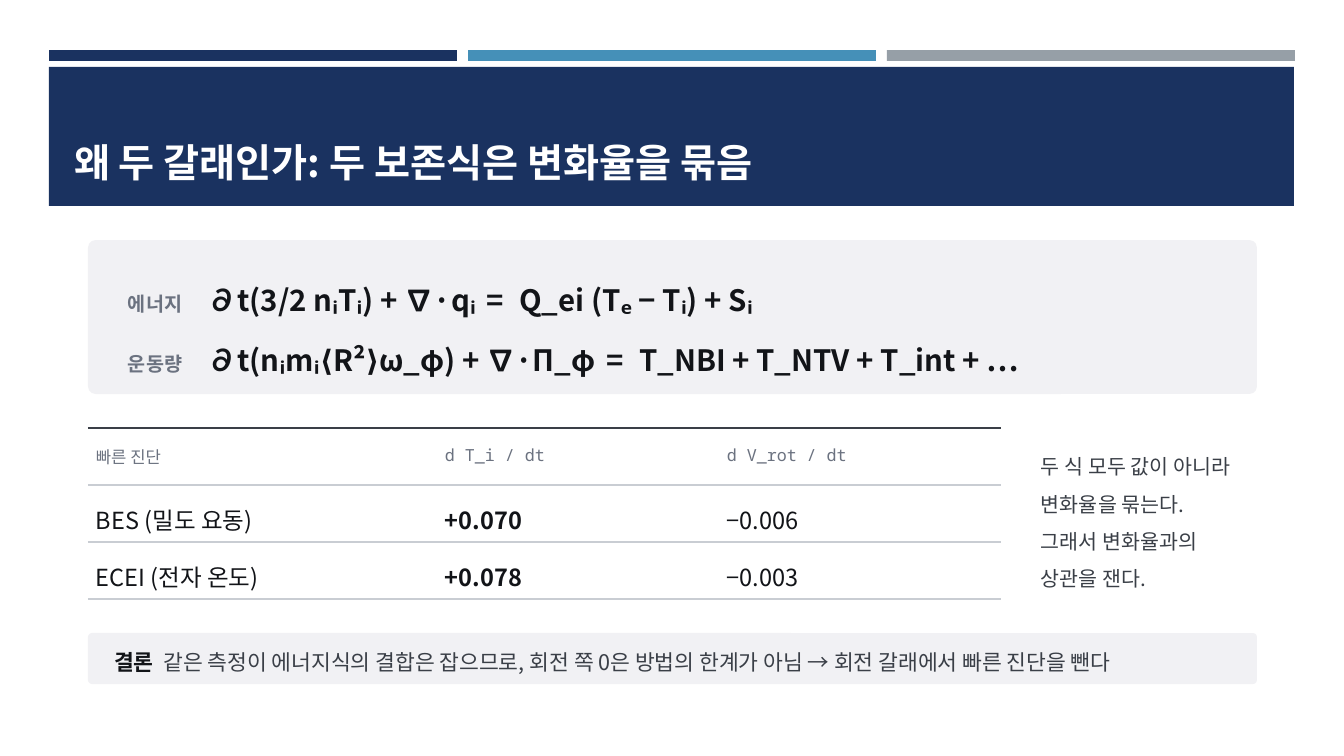
from lxml import etree
from pptx import Presentation, util as u
from pptx.dml.color import RGBColor
from pptx.enum import shapes, text
from pptx.oxml.ns import qn

NAVY = RGBColor(0x1A, 0x32, 0x60)
BLUE = RGBColor(0x45, 0x90, 0xB8)
GRAY = RGBColor(0x96, 0x9F, 0xA7)
PANEL = RGBColor(0xF1, 0xF1, 0xF4)
INK = RGBColor(0x12, 0x14, 0x18)
BODY = RGBColor(0x3A, 0x3F, 0x47)
MUTED = RGBColor(0x6B, 0x72, 0x80)
RULE = RGBColor(0xC9, 0xCD, 0xD3)
WHITE = RGBColor(0xFF, 0xFF, 0xFF)
SANS, MONO = "Noto Sans CJK KR", "Noto Sans Mono"

TITLE = "왜 두 갈래인가: 두 보존식은 변화율을 묶음"
EQUATIONS = [
    ("에너지", "∂t(3/2 nᵢTᵢ) + ∇·qᵢ", "Q_ei (Tₑ − Tᵢ) + Sᵢ"),
    ("운동량", "∂t(nᵢmᵢ⟨R²⟩ω_φ) + ∇·Π_φ", "T_NBI + T_NTV + T_int + …"),
]
DIAGNOSTICS = [
    ("빠른 진단", "d T_i / dt", "d V_rot / dt"),
    ("BES (밀도 요동)", "+0.070", "−0.006"),
    ("ECEI (전자 온도)", "+0.078", "−0.003"),
]
REMARK = ["두 식 모두 값이 아니라", "변화율을 묶는다.", "그래서 변화율과의", "상관을 잰다."]
VERDICT = "결론"
REASON = "같은 측정이 에너지식의 결합은 잡으므로, 회전 쪽 0은 방법의 한계가 아님 → 회전 갈래에서 빠른 진단을 뺀다"

BAR_COLORS = [NAVY, BLUE, GRAY]
BAR_WIDTH, BAR_PITCH = 408, 419
MARGIN, PANEL_LEFT, PANEL_WIDTH = 49, 88, 1169
COLUMN_WIDTHS = [349, 282, 282]
ROW_HEIGHT = 57
TABLE_TOP = 428
EQUATION_TAB = 80


def px(n):
    return u.Emu(round(n * 914400 / 100.8))


def block(kind, left, top, width, height, color, radius=None):
    shape = slide.shapes.add_shape(kind, px(left), px(top), px(width), px(height))
    shape.shadow.inherit = False
    shape.fill.solid()
    shape.fill.fore_color.rgb = color
    shape.line.fill.background()
    if radius is not None:
        shape.adjustments[0] = radius


def text_frame(left, top, width, height, anchor=text.MSO_ANCHOR.TOP, inset=(0, 0)):
    frame = slide.shapes.add_textbox(px(left), px(top), px(width), px(height)).text_frame
    frame.word_wrap = True
    frame.vertical_anchor = anchor
    frame.margin_left = frame.margin_right = px(inset[0])
    frame.margin_top = frame.margin_bottom = px(inset[1])
    return frame


def next_paragraph(frame, index, spacing):
    paragraph = frame.add_paragraph() if index else frame.paragraphs[0]
    paragraph.line_spacing = spacing
    return paragraph


def add_run(paragraph, words, size, color, bold=False, font=SANS, tracking=0):
    run = paragraph.add_run()
    run.text = words
    run.font.size = u.Pt(size)
    run.font.bold = bold
    run.font.color.rgb = color
    run.font.name = font
    props = run.font._element
    etree.SubElement(props, qn("a:ea")).set("typeface", SANS)
    if tracking:
        props.set("spc", str(tracking))


def cell_borders(cell, top, bottom):
    props = cell._tc.get_or_add_tcPr()
    for side, rule in (("L", None), ("R", None), ("T", top), ("B", bottom)):
        line = etree.SubElement(props, qn("a:ln" + side))
        if rule:
            color, width = rule
            line.set("w", str(u.Pt(width)))
            fill = etree.SubElement(line, qn("a:solidFill"))
            etree.SubElement(fill, qn("a:srgbClr")).set("val", str(color))
        else:
            etree.SubElement(line, qn("a:noFill"))


deck = Presentation()
deck.slide_width, deck.slide_height = px(1344), px(756)
slide = deck.slides.add_slide(deck.slide_layouts[6])
RECT = shapes.MSO_SHAPE.RECTANGLE
ROUNDED = shapes.MSO_SHAPE.ROUNDED_RECTANGLE

for i, color in enumerate(BAR_COLORS):
    block(RECT, MARGIN + i * BAR_PITCH, 50, BAR_WIDTH, 11, color)
block(RECT, MARGIN, 67, 1245, 139, NAVY)
title = text_frame(64, 81, 1216, 109, text.MSO_ANCHOR.BOTTOM, (10, 5))
add_run(title.paragraphs[0], TITLE, 28, WHITE, True)

block(ROUNDED, PANEL_LEFT, 240, PANEL_WIDTH, 154, PANEL, 0.05)
equations = text_frame(128, 257, 1089, 128)
for i, (label, left_side, right_side) in enumerate(EQUATIONS):
    paragraph = next_paragraph(equations, i, 1.7)
    tabs = etree.SubElement(paragraph._p.get_or_add_pPr(), qn("a:tabLst"))
    tab = etree.SubElement(tabs, qn("a:tab"))
    tab.set("pos", str(int(px(EQUATION_TAB))))
    tab.set("algn", "l")
    add_run(paragraph, label + "\t", 14, MUTED, True, MONO)
    add_run(paragraph, left_side, 21, INK, True)
    add_run(paragraph, " = ", 21, INK, True, tracking=300)
    add_run(paragraph, right_side, 21, INK, True)

table = slide.shapes.add_table(
    len(DIAGNOSTICS), len(COLUMN_WIDTHS), px(PANEL_LEFT), px(TABLE_TOP),
    px(sum(COLUMN_WIDTHS)), px(ROW_HEIGHT * len(DIAGNOSTICS))).table
table.first_row = table.horz_banding = False
for column, width in zip(table.columns, COLUMN_WIDTHS):
    column.width = px(width)
for r, values in enumerate(DIAGNOSTICS):
    table.rows[r].height = px(ROW_HEIGHT)
    for c, value in enumerate(values):
        cell = table.cell(r, c)
        cell_borders(cell, (RULE, 1) if r else (BODY, 1.25), (RULE, 1))
        cell.fill.background()
        cell.margin_left = cell.margin_right = px(8)
        cell.margin_top, cell.margin_bottom = px(11), 0
        paragraph = next_paragraph(cell.text_frame, 0, 1.2)
        if r == 0:
            add_run(paragraph, value, 11.9, MUTED, font=MONO)
        else:
            add_run(paragraph, value, 16.8, INK, c == 1)

remark = text_frame(1041, 442, 215, 161)
for i, sentence in enumerate(REMARK):
    add_run(next_paragraph(remark, i, 1.5), sentence, 14.7, BODY)

block(ROUNDED, PANEL_LEFT, 633, PANEL_WIDTH, 51, PANEL, 0.08)
conclusion = text_frame(114, 633, 1116, 51, text.MSO_ANCHOR.MIDDLE)
paragraph = next_paragraph(conclusion, 0, 1.25)
add_run(paragraph, VERDICT, 15.4, INK, True)
add_run(paragraph, " ", 15.4, INK, True, tracking=350)
add_run(paragraph, REASON, 15.4, BODY)

deck.save("out.pptx")
